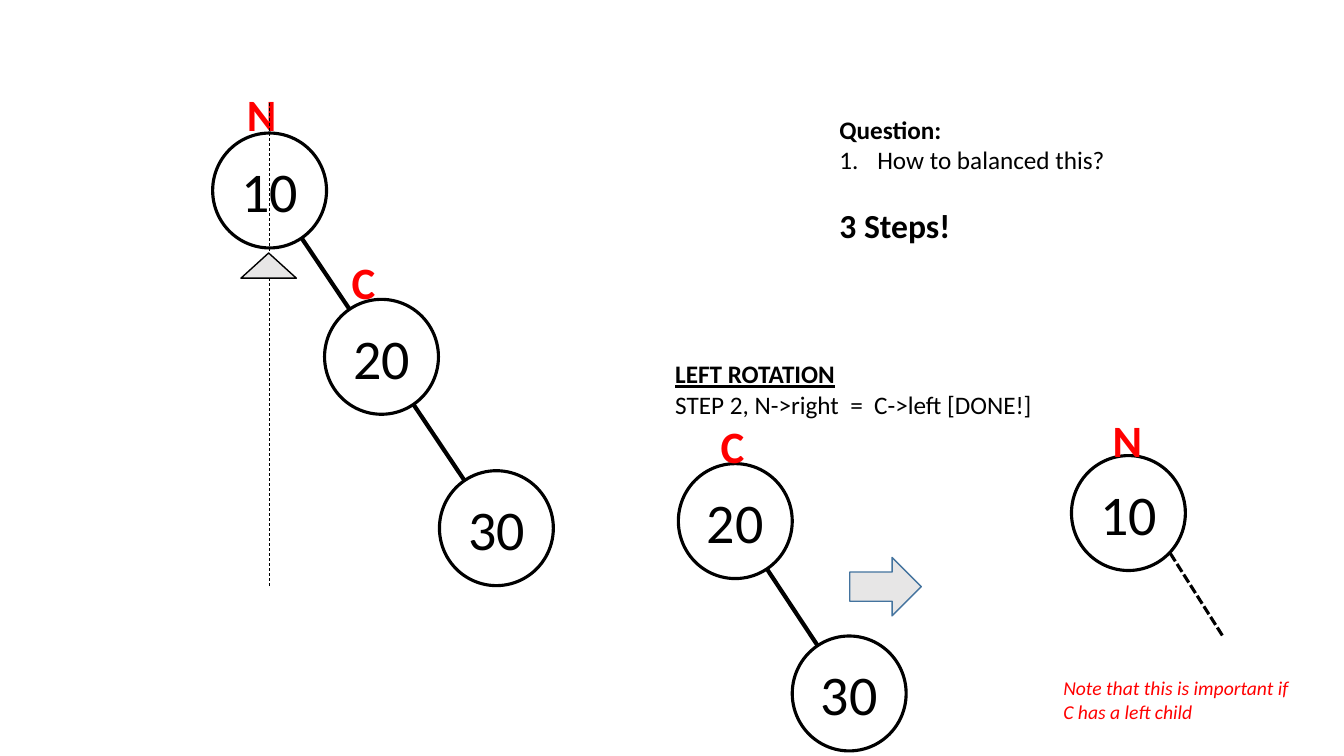
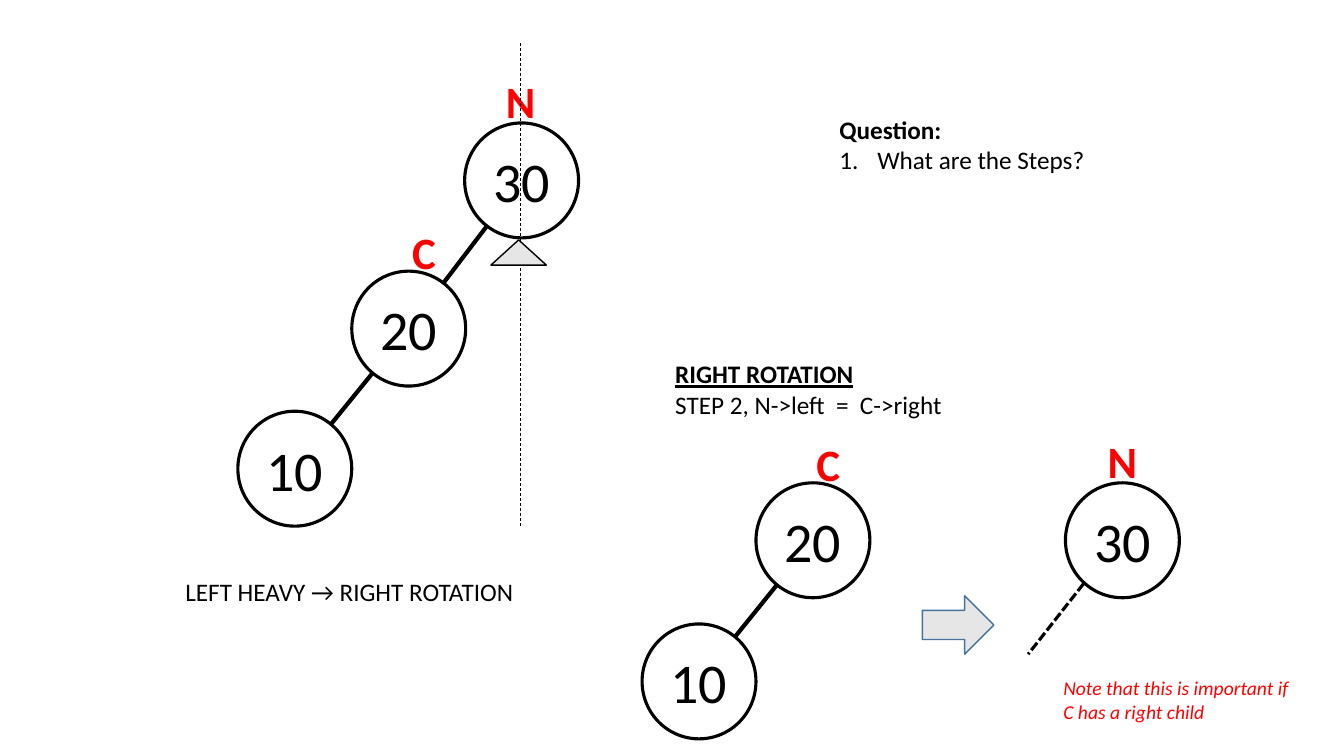
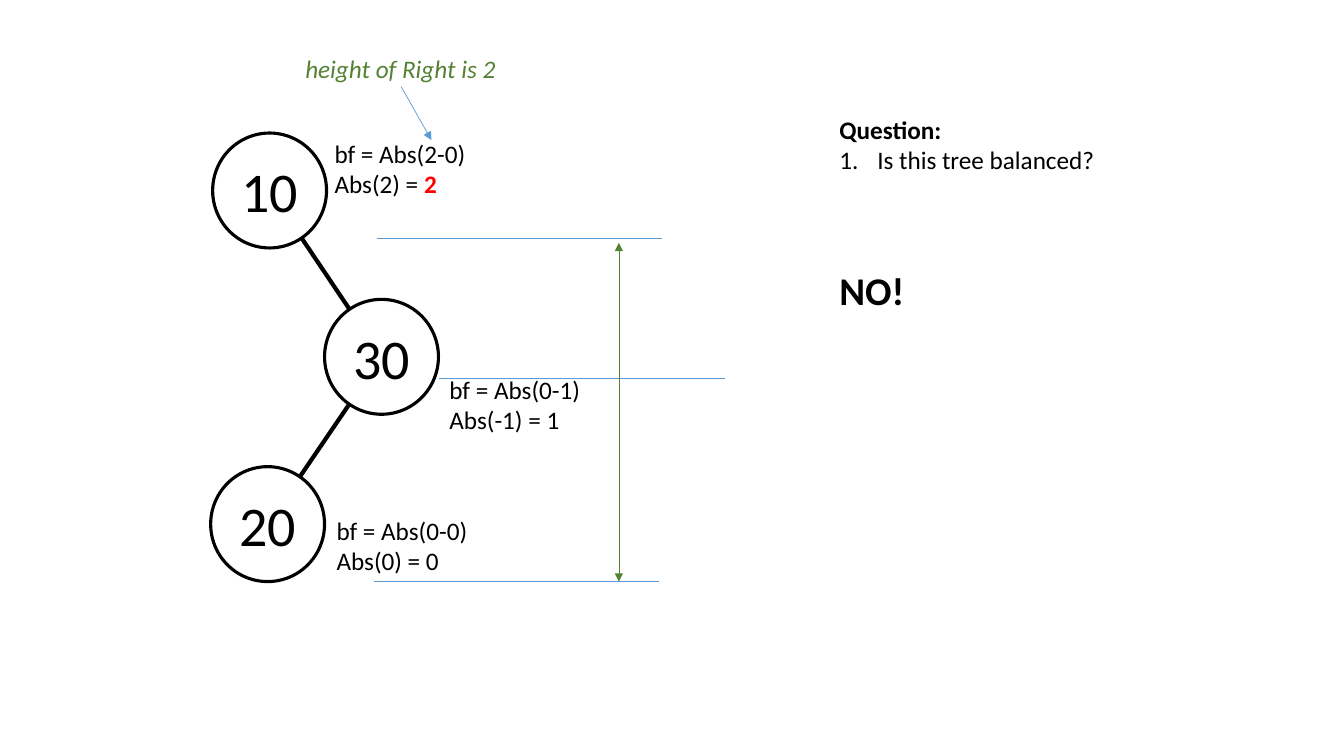
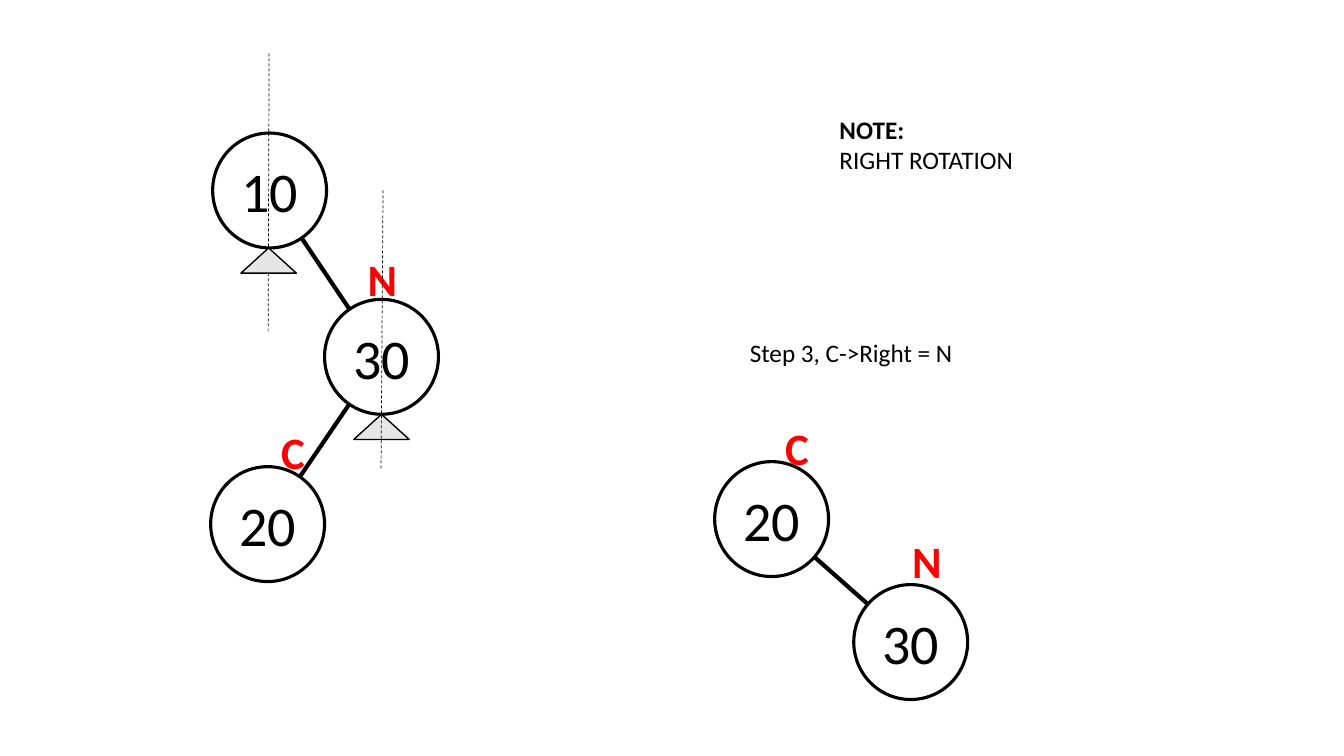
import dataclasses
import itertools
import math
import typing

import lxml.etree
import pptx
import pptx.dml.color
import pptx.enum.dml
import pptx.enum.shapes
import pptx.enum.text
import pptx.oxml.ns
import pptx.util

# Shared look
FONT = "Calibri"
BLACK, WHITE, RED, GREEN = "000000", "FFFFFF", "FF0000", "548235"
BLUE, ARROW_EDGE, GREY = "5B9BD5", "43739E", "E7E6E6"
DASH = pptx.enum.dml.MSO_LINE.DASH
SHORT_DASH = pptx.enum.dml.MSO_LINE.SQUARE_DOT
SHAPE = pptx.enum.shapes.MSO_SHAPE

# Square grid: every column and row is a tenth of an inch
CELL = 0.1
COLS, ROWS = 133.33, 75
NODE_W, NODE_H = 11.3, 11.4
PIVOT_W, PIVOT_H = 5.5, 2.5
ARROW_W, ARROW_H = 7.1, 5.8
LEVEL_W = 28.3
LINE_PT = 22  # height of one 18 pt line
INDENT = 3.75


@dataclasses.dataclass(frozen=True)
class Node:
    """A tree node with its top left corner and an optional pointer name."""
    value: int
    x: float
    y: float
    tag: str = ""
    tag_dx: float = 0
    tag_dy: float = -5

    @property
    def center(self) -> tuple[float, float]:
        return self.x + NODE_W / 2, self.y + NODE_H / 2


class Box(typing.NamedTuple):
    x: float
    y: float
    w: float
    h: float


class Point(typing.NamedTuple):
    x: float
    y: float


def grid(cells: float) -> pptx.util.Emu:
    return pptx.util.Inches(cells * CELL)


def color(code: str) -> pptx.dml.color.RGBColor:
    return pptx.dml.color.RGBColor.from_string(code)


def write(tf, text: str, *, size: float = 18, ink: str = BLACK,
          bold: bool = False, italic: bool = False, underline: bool = False,
          before: float = 0, numbered: bool = False, centered: bool = False,
          same_line: bool = False) -> None:
    """Add a paragraph, or a run on the last one, in the given format."""
    p = tf.paragraphs[-1]
    if p.runs and not same_line:
        p = tf.add_paragraph()
    if before:
        p.space_before = pptx.util.Pt(before)
    if centered:
        p.alignment = pptx.enum.text.PP_ALIGN.CENTER
    if numbered:
        pPr = p._p.get_or_add_pPr()
        pPr.set("marL", str(grid(INDENT)))
        pPr.set("indent", str(-grid(INDENT)))
        lxml.etree.SubElement(pPr, pptx.oxml.ns.qn("a:buAutoNum"),
                              type="arabicPeriod")
    r = p.add_run()
    r.text = text
    r.font.name, r.font.size = FONT, pptx.util.Pt(size)
    r.font.bold, r.font.italic, r.font.underline = bold, italic, underline
    r.font.color.rgb = color(ink)


def textbox(s, box: Box):
    tf = s.shapes.add_textbox(*map(grid, box)).text_frame
    tf.word_wrap = True
    return tf


def outlined(s, kind, box: Box, fill: str, line: str, width: float):
    sp = s.shapes.add_shape(kind, *map(grid, box))
    sp.shadow.inherit = False
    sp.fill.solid()
    sp.fill.fore_color.rgb = color(fill)
    sp.line.color.rgb = color(line)
    sp.line.width = pptx.util.Pt(width)
    return sp


def connect(s, start: Point, end: Point, *, ink: str = BLACK,
            width: float = 0.5, dash=None, ends: tuple[str, ...] = ()) -> None:
    """Draw a line; ends lists headEnd and tailEnd where arrowheads go."""
    cx = s.shapes.add_connector(pptx.enum.shapes.MSO_CONNECTOR.STRAIGHT,
                                *map(grid, (*start, *end)))
    cx.line.color.rgb = color(ink)
    cx.line.width = pptx.util.Pt(width)
    if dash is not None:
        cx.line.dash_style = dash
    for name in ends:
        lxml.etree.SubElement(cx.line._get_or_add_ln(),
                              pptx.oxml.ns.qn(f"a:{name}"), type="triangle")
    lxml.etree.SubElement(cx._element.spPr, pptx.oxml.ns.qn("a:effectLst"))


def tree(s, *nodes: Node) -> None:
    """Draw nodes from the root down, with an edge between neighbours."""
    for node in nodes:
        sp = outlined(s, SHAPE.OVAL, Box(node.x, node.y, NODE_W, NODE_H),
                      WHITE, BLACK, 2.25)
        tf = sp.text_frame
        tf.margin_left = tf.margin_right = 0
        tf.vertical_anchor = pptx.enum.text.MSO_ANCHOR.MIDDLE
        write(tf, str(node.value), size=40, centered=True)
    for parent, child in itertools.pairwise(nodes):
        (x1, y1), (x2, y2) = parent.center, child.center
        share = NODE_W / 2 / math.hypot(x2 - x1, y2 - y1)
        dx, dy = (x2 - x1) * share, (y2 - y1) * share
        connect(s, Point(x1 + dx, y1 + dy), Point(x2 - dx, y2 - dy), width=3)
    for node in nodes:
        if node.tag:
            tf = textbox(s, Box(node.x + node.tag_dx, node.y + node.tag_dy,
                                5, 6.4))
            write(tf, node.tag, size=32, ink=RED, bold=True)


def axis(s, top: Point, bottom: Point) -> None:
    connect(s, top, bottom, dash=DASH)


def pivot(s, x: float, y: float) -> None:
    outlined(s, SHAPE.ISOSCELES_TRIANGLE, Box(x, y, PIVOT_W, PIVOT_H),
             GREY, BLACK, 1)


def panel(s, heading: str, body: str, *, numbered: bool = True):
    tf = textbox(s, Box(82.3, 10.8, 28.6, 20.2))
    write(tf, heading, bold=True)
    write(tf, body, numbered=numbered)
    return tf


def rotation_step(s, heading: str, step: str, side: str, arrow: Point,
                  stub: tuple[Point, Point]) -> None:
    """Heading, block arrow, dashed new link and the note beneath it."""
    tf = textbox(s, Box(66, 35.1, 38.4, 7.1))
    write(tf, heading, bold=True, underline=True)
    write(tf, step)
    outlined(s, SHAPE.RIGHT_ARROW, Box(*arrow, ARROW_W, ARROW_H),
             GREY, ARROW_EDGE, 1)
    connect(s, *stub, width=2.25, dash=SHORT_DASH)
    tf = textbox(s, Box(104.5, 66.6, 24.6, 5.7))
    for line in ("Note that this is important if", f"C has a {side} child"):
        write(tf, line, size=14, ink=RED, italic=True)


def left_rotation(s) -> None:
    tree(s, Node(10, 21.1, 13.2, "N", 2.4, -5.1),
         Node(20, 32.2, 29.7, "C", 1.7, -4.9), Node(30, 43.6, 46.7))
    tf = panel(s, "Question:", "How to balanced this?")
    write(tf, "3 Steps!", size=24, bold=True, before=LINE_PT)
    tree(s, Node(20, 67.3, 46, "C", 3.2, -4.9), Node(30, 78.6, 63.1))
    tree(s, Node(10, 106.3, 45.2, "N", 3.1, -4.7))
    rotation_step(s, "LEFT ROTATION", "STEP 2, N->right  =  C->left [DONE!]",
                  "left", Point(84.3, 55.3),
                  (Point(116.1, 54.9), Point(121.3, 63.1)))
    axis(s, Point(26.7, 10.2), Point(26.7, 58.1))
    pivot(s, 23.9, 25.1)


def right_rotation(s) -> None:
    tree(s, Node(30, 46.1, 12.2, "N", 3.1, -5.4),
         Node(20, 34.9, 26.9, "C", 5, -5.1), Node(10, 23.6, 40.8))
    panel(s, "Question:", "What are the Steps?")
    axis(s, Point(51.6, 4.3), Point(51.6, 52.2))
    write(textbox(s, Box(17.4, 56.7, 35.1, 4)),
          "LEFT HEAVY → RIGHT ROTATION")
    pivot(s, 48.7, 23.8)
    tree(s, Node(20, 75, 47.9, "C", 5, -5.1), Node(10, 63.7, 61.9))
    tree(s, Node(30, 105.7, 47.9, "N", 3.2, -5.4))
    rotation_step(s, "RIGHT ROTATION", "STEP 2, N->left  =  C->right",
                  "right", Point(91.5, 59.1),
                  (Point(107.5, 57.9), Point(102, 64.9)))


# The bent tree of the last two slides
BENT = (Node(10, 21.1, 13.2), Node(30, 32.2, 29.7), Node(20, 20.9, 46.3))


def balance_factors(s) -> None:
    tree(s, *BENT)
    tf = panel(s, "Question:", "Is this tree balanced?")
    write(tf, "NO!", size=28, bold=True, before=3 * LINE_PT)
    # Balance factor beside each node
    for x, y, args, total, result in (
            (32.2, 13.2, "2-0", "2", "2"), (43.6, 36.6, "0-1", "-1", "1"),
            (32.4, 50.6, "0-0", "0", "0")):
        unbalanced = result == "2"
        tf = textbox(s, Box(x, y, 15.2, 7.1))
        write(tf, f"bf = Abs({args})")
        write(tf, f"Abs({total}) = ")
        write(tf, result, bold=unbalanced, ink=RED if unbalanced else BLACK,
              same_line=True)
    # Height of the right subtree
    write(textbox(s, Box(29.3, 4.8, 21.1, 4)), "height of Right is 2",
          ink=GREEN, italic=True)
    connect(s, Point(39.8, 8.6), Point(42.8, 13.9), ink=BLUE,
            ends=("tailEnd",))
    for x, y in ((37.4, 23.6), (37.1, 57.7), (43.6, 37.5)):
        connect(s, Point(x, y), Point(x + LEVEL_W, y), ink=BLUE)
    connect(s, Point(61.4, 57.7), Point(61.4, 24.1), ink=GREEN,
            ends=("headEnd", "tailEnd"))


def double_rotation(s) -> None:
    root, middle, leaf = BENT
    tree(s, root,
         dataclasses.replace(middle, tag="N", tag_dx=3.3, tag_dy=-5.2),
         dataclasses.replace(leaf, tag="C", tag_dx=6, tag_dy=-4.7))
    axis(s, Point(26.7, 5.3), Point(26.6, 33))
    pivot(s, 23.9, 24.6)
    pivot(s, 35.1, 41.1)
    axis(s, Point(38, 18.9), Point(37.8, 46.6))
    tree(s, Node(20, 70.9, 45.8, "C", 6, -4.6),
         Node(30, 84.7, 58, "N", 4.8, -5.5))
    write(textbox(s, Box(73.4, 33, 22.4, 4)), "Step 3, C->Right = N")
    panel(s, "NOTE:", "RIGHT ROTATION", numbered=False)


prs = pptx.Presentation()
prs.slide_width, prs.slide_height = grid(COLS), grid(ROWS)
blank = prs.slide_layouts[6]
for draw in (left_rotation, right_rotation, balance_factors, double_rotation):
    draw(prs.slides.add_slide(blank))
prs.save("out.pptx")
